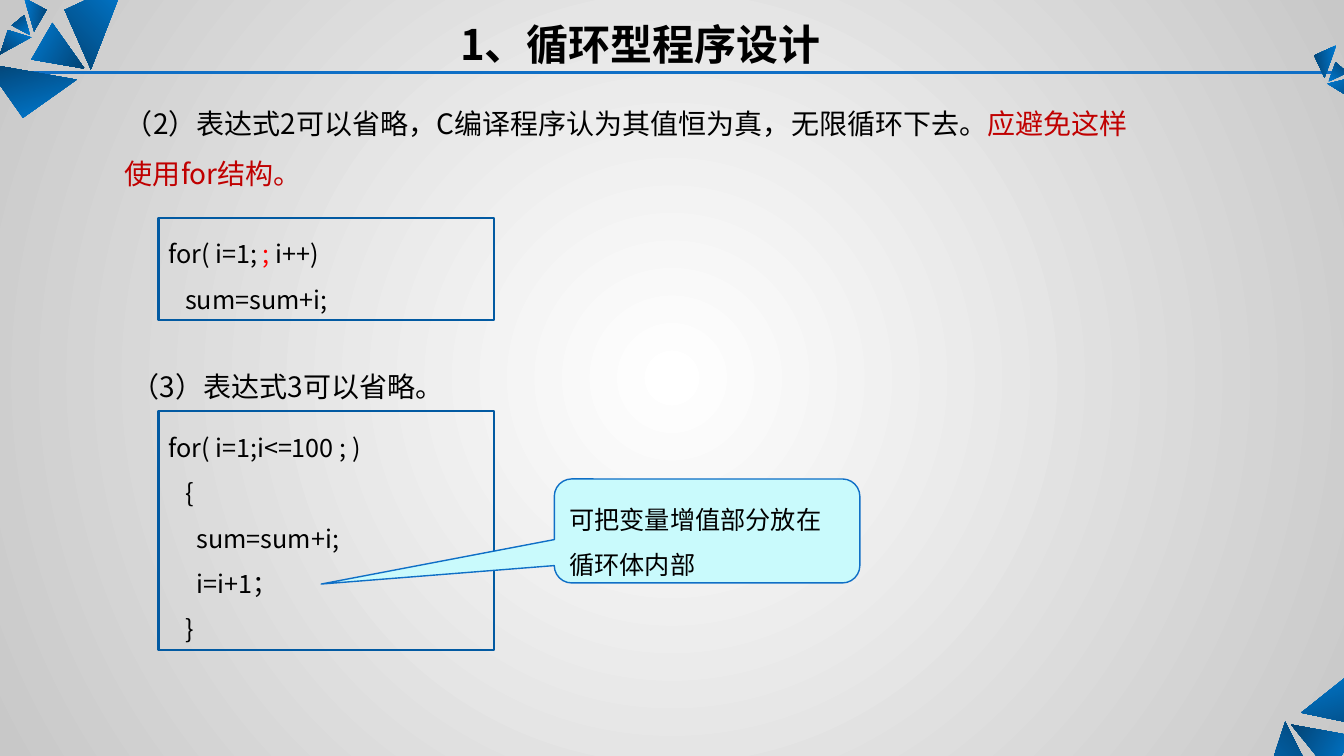
from lxml.etree import SubElement
from pptx import Presentation
from pptx.dml.color import RGBColor
from pptx.enum.shapes import MSO_CONNECTOR, MSO_SHAPE
from pptx.enum.text import MSO_ANCHOR, MSO_AUTO_SIZE, PP_ALIGN
from pptx.oxml.ns import qn
from pptx.util import Cm, Pt

FONT = "Noto Sans CJK SC"
COLORS = {
    "black": "000000", "red": "FF0000", "dark_red": "C00000",
    "rule": "0F6FC6", "frame": "025AA2", "callout": "C9FAFC",
    "glow": "FFFFFF", "edge": "C8C8C8",
    "bright_blue": "007BD3", "deep_blue": "034373",
}

# Each paragraph is a list of (text, colour) runs; boxes are left, top, width, height in cm.
TITLE = [[("1、循环型程序设计", "black")]]
TITLE_BOX = (1.6, 0.33, 29.08, 1.55)

STATEMENTS = [
    ((2.9, 2.11, 26.47, 2.82),
     [[("（2）表达式2可以省略，C编译程序认为其值恒为真，无限循环下去。", "black"),
       ("应避免这样使用for结构。", "dark_red")]]),
    ((3.07, 8.76, 26.47, 1.52), [[("（3）表达式3可以省略。", "black")]]),
]

CODE_BLOCKS = [
    ((3.99, 5.49, 8.46, 2.57),
     [[("for( i=1;", "black"), (" ;", "red"), (" i++)", "black")],
      [("   sum=sum+i;", "black")]]),
    ((3.99, 10.36, 8.46, 6.02),
     [[("for( i=1;i<=100 ; )", "black")],
      [("   {", "black")],
      [("     sum=sum+i;", "black")],
      [("     i=i+1；", "black")],
      [("   }", "black")]]),
]

CALLOUT = [[("可把变量增值部分放在循环体内部", "black")]]
CALLOUT_BOX = (13.97, 12.07, 7.7, 2.62)
CALLOUT_ADJUSTMENTS = (-1.263, 0.511, 0.167)

RULE = (0.08, 1.83, 33.99, 1.83)

# Corner triangles: turn of the shading in degrees, then the three corners in cm.
TRIANGLES = [
    (224, [(31.6, 20.6), (32.39, 18.19), (33.25, 19.89)]),
    (119, [(34.09, 18.54), (32.54, 18.26), (33.55, 19.51)]),
    (343, [(34.16, 16.87), (32.79, 17.96), (35.26, 18.47)]),
    (45, [(3.15, -0.46), (2.29, 1.75), (1.63, 0.25)]),
    (300, [(0.79, 1.5), (2.13, 1.73), (1.32, 0.58)]),
    (165, [(0.58, 2.97), (1.93, 2.01), (-0.38, 1.6)]),
    (38, [(0, 1.37), (0.79, 0.94), (0.2, 0.76)]),
    (143, [(0.61, 0.38), (0.76, 0.89), (0.3, 0.64)]),
    (279, [(1.17, 0.25), (0.86, 0.79), (0.61, -0.05)]),
    (325, [(34.21, 2.57), (33.45, 2.11), (34.06, 1.96)]),
    (220, [(33.66, 1.57), (33.48, 2.06), (33.96, 1.83)]),
    (84, [(33.12, 1.4), (33.38, 1.96), (33.68, 1.14)]),
]


def color(name):
    return RGBColor.from_string(COLORS[name])


def to_cm(values):
    return [Cm(value) for value in values]


def set_gradient(fill, start, end):
    fill.gradient()
    for stop, name, position in zip(fill.gradient_stops, (start, end), (0, 1)):
        stop.color.rgb = color(name)
        stop.position = position


def paint_background(slide):
    """Fill the background with a circular gradient that starts at the centre."""
    fill = slide.background.fill
    set_gradient(fill, "glow", "edge")
    gradient = slide.background._cSld.find(".//" + qn("a:gradFill"))
    gradient.remove(gradient.find(qn("a:lin")))
    circle = SubElement(gradient, qn("a:path"), {"path": "circle"})
    SubElement(circle, qn("a:fillToRect"), dict.fromkeys("ltrb", "50000"))


def add_rule(slide):
    rule = slide.shapes.add_connector(MSO_CONNECTOR.STRAIGHT, *to_cm(RULE))
    rule.line.color.rgb = color("rule")
    rule.line.width = Pt(2.25)
    SubElement(rule._element.spPr, qn("a:effectLst"))


def add_triangle(slide, turn, corners):
    start, *others = [to_cm(corner) for corner in corners]
    builder = slide.shapes.build_freeform(*start)
    builder.add_line_segments(others, close=True)
    shape = builder.convert_to_shape()
    shape.shadow.inherit = False
    set_gradient(shape.fill, "bright_blue", "deep_blue")
    shape.fill.gradient_angle = (270 - turn) % 360
    shape.line.fill.background()


def write_text(shape, paragraphs, size, spacing=1.5, bold=False,
               align=PP_ALIGN.LEFT, anchor=MSO_ANCHOR.MIDDLE, grow=True):
    frame = shape.text_frame
    frame.word_wrap = True
    frame.vertical_anchor = anchor
    frame.auto_size = MSO_AUTO_SIZE.SHAPE_TO_FIT_TEXT if grow else MSO_AUTO_SIZE.NONE
    for index, runs in enumerate(paragraphs):
        paragraph = frame.add_paragraph() if index else frame.paragraphs[0]
        paragraph.alignment = align
        paragraph.line_spacing = spacing
        for text, color_name in runs:
            run = paragraph.add_run()
            run.text = text
            run.font.size = Pt(size)
            run.font.bold = bold
            run.font.name = FONT
            run.font.color.rgb = color(color_name)
            SubElement(run.font._element, qn("a:ea"), {"typeface": FONT})


def add_outlined_shape(slide, kind, box, line_color, line_width):
    shape = slide.shapes.add_shape(kind, *to_cm(box))
    shape.shadow.inherit = False
    shape.fill.background()
    shape.line.color.rgb = color(line_color)
    shape.line.width = Pt(line_width)
    return shape


def add_callout(slide):
    callout = add_outlined_shape(
        slide, MSO_SHAPE.ROUNDED_RECTANGULAR_CALLOUT, CALLOUT_BOX, "rule", 1)
    callout.fill.solid()
    callout.fill.fore_color.rgb = color("callout")
    for index, value in enumerate(CALLOUT_ADJUSTMENTS):
        callout.adjustments[index] = value
    write_text(callout, CALLOUT, 18, anchor=MSO_ANCHOR.TOP, grow=False)


def main():
    presentation = Presentation()
    presentation.slide_width, presentation.slide_height = Cm(33.87), Cm(19.05)
    slide = presentation.slides.add_slide(presentation.slide_layouts[6])

    paint_background(slide)
    add_rule(slide)
    for turn, corners in TRIANGLES:
        add_triangle(slide, turn, corners)

    title = slide.shapes.add_textbox(*to_cm(TITLE_BOX))
    write_text(title, TITLE, 30, spacing=1.0, bold=True,
               align=PP_ALIGN.CENTER, anchor=MSO_ANCHOR.TOP)
    for box, paragraphs in STATEMENTS:
        write_text(slide.shapes.add_textbox(*to_cm(box)), paragraphs, 20)
    for box, paragraphs in CODE_BLOCKS:
        frame = add_outlined_shape(slide, MSO_SHAPE.RECTANGLE, box, "frame", 1.75)
        write_text(frame, paragraphs, 18)
    add_callout(slide)

    presentation.save("out.pptx")


if __name__ == "__main__":
    main()
